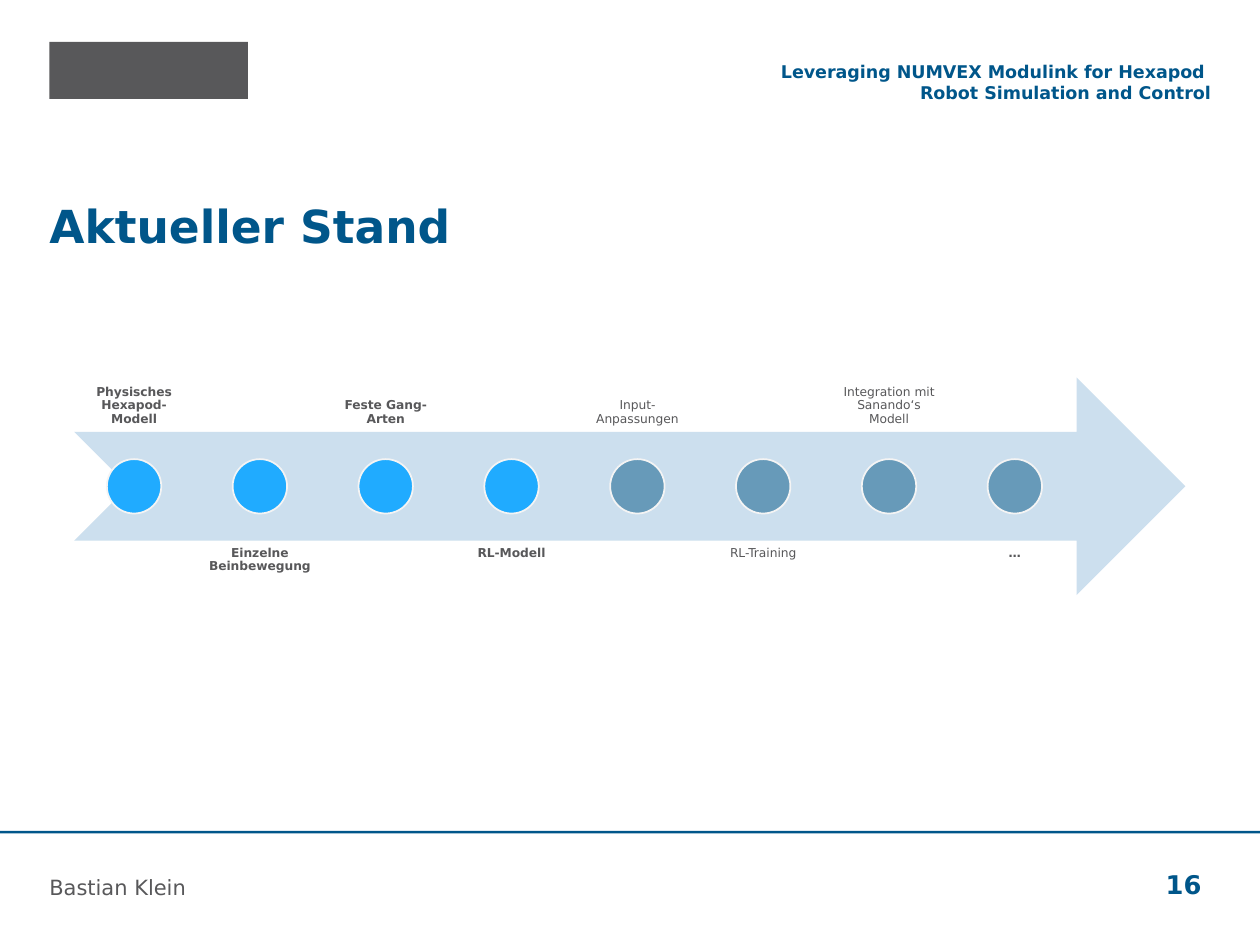
from pptx import Presentation
from pptx.dml.color import RGBColor
from pptx.enum.shapes import MSO_SHAPE as Shape
from pptx.enum.text import MSO_ANCHOR as Anchor, PP_ALIGN as Align
from pptx.util import Pt

TITLE = "Aktueller Stand"
TALK = "Leveraging NUMVEX Modulink for Hexapod \vRobot Simulation and Control"
AUTHOR = "Bastian Klein"
PAGE = "16 "
# label, step is done, label is bold
STEPS = [
    ("Physisches Hexapod-Modell", True, True),
    ("Einzelne Beinbewegung", True, True),
    ("Feste Gang-Arten", True, True),
    ("RL-Modell", True, True),
    ("Input-Anpassungen", False, False),
    ("RL-Training", False, False),
    ("Integration mit Sanando‘s Modell", False, False),
    ("…", False, True),
]

FONT = "DejaVu Sans"
COLORS = {"blue": "00568A", "gray": "58585A", "arrow": "CCDFEE",
          "done": "20ABFF", "open": "679AB9", "outline": "F4F4F4"}

MARGIN = 28.2
ARROW_LEFT, ARROW_TOP, ARROW_WIDTH, ARROW_HEIGHT = 42.4, 215.7, 635, 124.4
FIRST_CENTER, STEP_PITCH = 76.6, 71.9
DOT_SIZE = ARROW_HEIGHT / 4
LABEL_WIDTH, LABEL_INSET = 68.4, 3.6


def color(name):
    return RGBColor.from_string(COLORS[name])


def place(shape, left, top, width, height):
    shape.left, shape.top = Pt(left), Pt(top)
    shape.width, shape.height = Pt(width), Pt(height)


def write(shape, text, size, ink="gray", bold=False, align=Align.LEFT,
          anchor=Anchor.TOP, inset=0, spacing=None):
    frame = shape.text_frame
    frame.word_wrap = True
    frame.vertical_anchor = anchor
    frame.margin_left = frame.margin_right = Pt(inset)
    frame.margin_top = frame.margin_bottom = Pt(inset)
    paragraph = frame.paragraphs[0]
    paragraph.text = text
    paragraph.alignment = align
    paragraph.line_spacing = spacing
    for run in paragraph.runs:
        run.font.name, run.font.size, run.font.bold = FONT, Pt(size), bold
        run.font.color.rgb = color(ink)


def add_text(slide, box, text, size, **style):
    write(slide.shapes.add_textbox(*map(Pt, box)), text, size, **style)


def add_filled(slide, preset, box, fill, outline=None):
    shape = slide.shapes.add_shape(preset, *map(Pt, box))
    shape.shadow.inherit = False
    shape.fill.solid()
    shape.fill.fore_color.rgb = color(fill)
    if outline:
        shape.line.color.rgb = color(outline)
        shape.line.width = Pt(1)
    else:
        shape.line.fill.background()


def add_frame(slide):
    """Add the header, the title and the footer."""
    add_filled(slide, Shape.RECTANGLE, (MARGIN, 24, 113.4, 32.6), "gray")
    add_filled(slide, Shape.RECTANGLE, (0, 474.8, 720, 1.4), "blue")
    place(slide.shapes.title, MARGIN, 113.4, 663.6, 45.4)
    write(slide.shapes.title, TITLE, 26, ink="blue", bold=True)
    add_text(slide, (444.8, 30.6, 247, 28.2), TALK, 10, ink="blue", bold=True,
             align=Align.RIGHT, anchor=Anchor.BOTTOM)
    add_text(slide, (MARGIN, 486, 408.2, 28.2), AUTHOR, 12, anchor=Anchor.BOTTOM)
    add_text(slide, (635, 486, 56.8, 28.2), PAGE, 14.7, ink="blue", bold=True,
             align=Align.RIGHT, anchor=Anchor.BOTTOM)


def add_timeline(slide):
    """Add the arrow with its dots; labels alternate above and below."""
    add_filled(slide, Shape.NOTCHED_RIGHT_ARROW,
               (ARROW_LEFT, ARROW_TOP, ARROW_WIDTH, ARROW_HEIGHT), "arrow")
    middle = ARROW_TOP + ARROW_HEIGHT / 2
    band = ARROW_HEIGHT / 4
    for index, (label, done, bold) in enumerate(STEPS):
        center = FIRST_CENTER + index * STEP_PITCH
        above = index % 2 == 0
        top = middle - band - ARROW_HEIGHT if above else middle + band
        add_text(slide, (center - LABEL_WIDTH / 2, top, LABEL_WIDTH, ARROW_HEIGHT),
                 label, 7, bold=bold, align=Align.CENTER, inset=LABEL_INSET,
                 anchor=Anchor.BOTTOM if above else Anchor.TOP, spacing=0.9)
        add_filled(slide, Shape.OVAL,
                   (center - DOT_SIZE / 2, middle - DOT_SIZE / 2, DOT_SIZE, DOT_SIZE),
                   "done" if done else "open", outline="outline")


def main():
    deck = Presentation()
    deck.slide_width, deck.slide_height = Pt(720), Pt(540)
    slide = deck.slides.add_slide(deck.slide_layouts[5])
    add_frame(slide)
    add_timeline(slide)
    deck.save("out.pptx")


if __name__ == "__main__":
    main()
